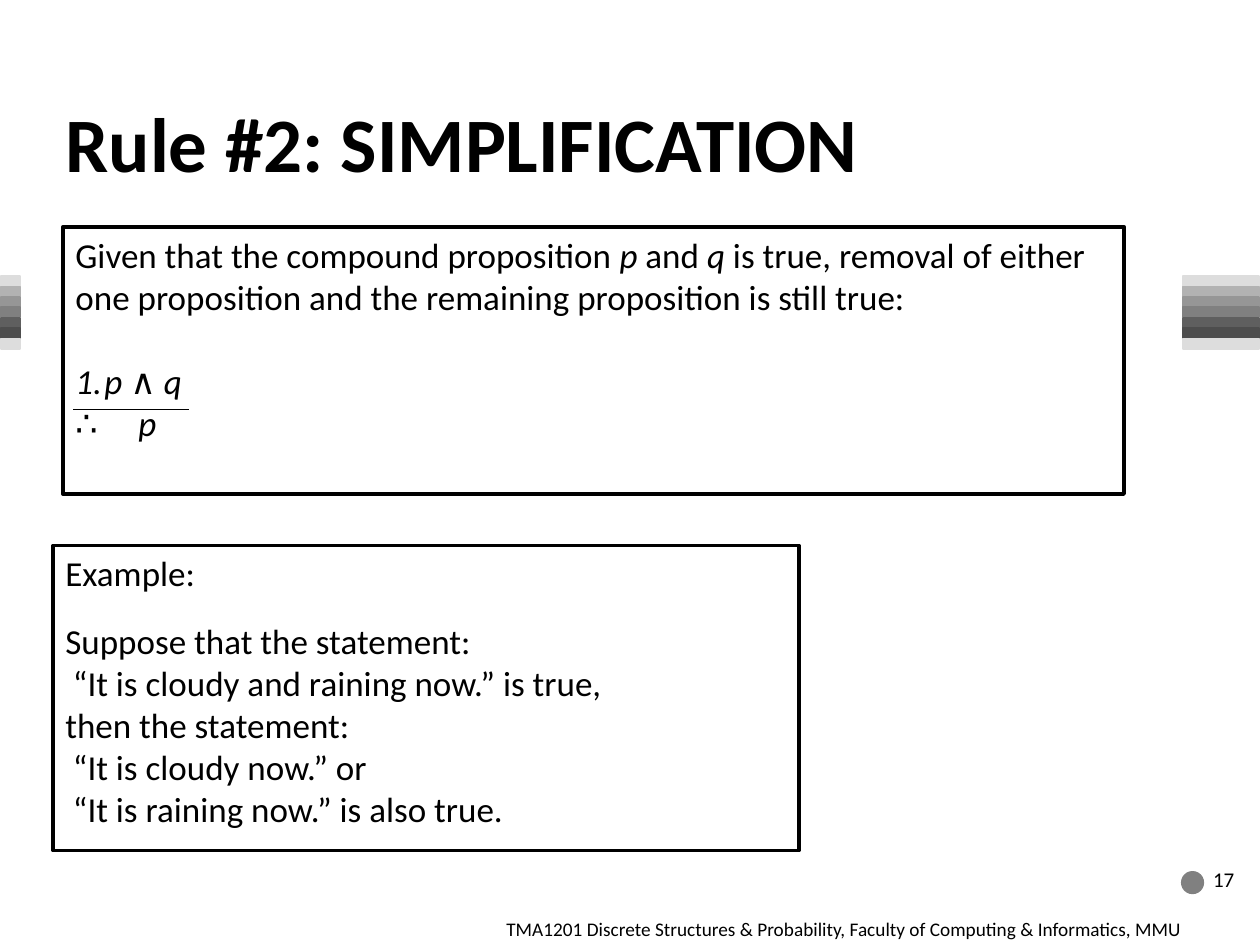
from dataclasses import dataclass

import pptx
import pptx.dml.color
import pptx.enum.shapes
import pptx.enum.text
import pptx.oxml.ns
import pptx.util
from lxml import etree

Inches = pptx.util.Inches
Pt = pptx.util.Pt
SHAPES = pptx.enum.shapes.MSO_SHAPE
ANCHOR = pptx.enum.text.MSO_ANCHOR


@dataclass(frozen=True)
class Theme:
    font: str = "Calibri"
    ink: str = "000000"
    dot: str = "808080"
    bands: tuple[str, ...] = ("DDDDDD", "B2B2B2", "969696", "808080",
                              "5F5F5F", "4D4D4D", "DDDDDD")
    title: int = 44
    body: int = 20
    number: int = 12
    footer: int = 11


@dataclass(frozen=True)
class Box:
    left: float
    top: float
    width: float
    height: float

    def lengths(self) -> tuple[int, ...]:
        return tuple(Inches(v) for v in (self.left, self.top, self.width, self.height))


@dataclass(frozen=True)
class Para:
    """One paragraph; text between asterisks is italic."""
    text: str
    before: float = 0
    margin: float = 0
    indent: float = 0
    numbered: bool = False
    tab: float = 0


THEME = Theme()
BAND_TOP, BAND_STEP = 2.19, 0.083

RULE = [
    Para("Given that the compound proposition *p* and *q* is true, removal of either "
         "one proposition and the remaining proposition is still true:"),
    Para("*p* ∧ *q*", before=24, margin=0.23, indent=-0.23, numbered=True),
    Para("∴\t*p*", tab=0.43),
]
EXAMPLE = [
    Para("Example:"),
    Para("Suppose that the statement:", before=14.4),
    Para("“It is cloudy and raining now.” is true,", margin=0.06),
    Para("then the statement:"),
    Para("“It is cloudy now.” or", margin=0.06),
    Para("“It is raining now.” is also true.", margin=0.06),
]


def rgb(color: str) -> pptx.dml.color.RGBColor:
    return pptx.dml.color.RGBColor.from_string(color)


def format_paragraph(p, para: Para) -> None:
    pPr = p._p.get_or_add_pPr()
    pPr.set("marL", str(Inches(para.margin)))
    pPr.set("indent", str(Inches(para.indent)))
    if para.before:
        p.space_before = Pt(para.before)
    qn = pptx.oxml.ns.qn
    if para.numbered:
        etree.SubElement(pPr, qn("a:buAutoNum"), type="arabicPeriod")
    else:
        etree.SubElement(pPr, qn("a:buNone"))
    if para.tab:
        tabs = etree.SubElement(pPr, qn("a:tabLst"))
        etree.SubElement(tabs, qn("a:tab"), pos=str(Inches(para.tab)), algn="l")


def write(sp, paras: list[Para], size: int, bold: bool = False,
          anchor=ANCHOR.TOP, wrap: bool = True) -> None:
    tf = sp.text_frame
    tf.word_wrap = wrap
    tf.auto_size = pptx.enum.text.MSO_AUTO_SIZE.NONE
    tf.vertical_anchor = anchor
    for i, para in enumerate(paras):
        p = tf.add_paragraph() if i else tf.paragraphs[0]
        p.alignment = pptx.enum.text.PP_ALIGN.LEFT
        format_paragraph(p, para)
        for j, piece in enumerate(para.text.split("*")):
            if not piece:
                continue
            r = p.add_run()
            r.text = piece
            r.font.name = THEME.font
            r.font.size = Pt(size)
            r.font.bold = bold
            r.font.italic = j % 2 == 1
            r.font.color.rgb = rgb(THEME.ink)


def add_shape(s, kind, box: Box, line: str, line_width: float, fill: str | None = None):
    sp = s.shapes.add_shape(kind, *box.lengths())
    sp.shadow.inherit = False
    if fill:
        sp.fill.solid()
        sp.fill.fore_color.rgb = rgb(fill)
    else:
        sp.fill.background()
    sp.line.color.rgb = rgb(line)
    sp.line.width = Pt(line_width)
    return sp


def add_bands(s, left: float, width: float) -> None:
    for i, color in enumerate(THEME.bands):
        box = Box(left, BAND_TOP + i * BAND_STEP, width, 0.08)
        add_shape(s, SHAPES.RECTANGLE, box, color, 1, fill=color)


def add_text(s, box: Box, text: str, size: int, **fmt) -> None:
    write(s.shapes.add_textbox(*box.lengths()), [Para(text)], size, **fmt)


def add_text_panel(s, box: Box, paras: list[Para], line_width: float) -> None:
    sp = add_shape(s, SHAPES.RECTANGLE, box, THEME.ink, line_width)
    write(sp, paras, THEME.body)


def add_rule_line(s, left: float, right: float, y: float) -> None:
    line = s.shapes.add_connector(pptx.enum.shapes.MSO_CONNECTOR.STRAIGHT,
                                  Inches(left), Inches(y), Inches(right), Inches(y))
    line.line.color.rgb = rgb(THEME.ink)
    line.line.width = Pt(1)
    etree.SubElement(line._element.spPr, pptx.oxml.ns.qn("a:effectLst"))


def main() -> None:
    prs = pptx.Presentation()
    prs.slide_width, prs.slide_height = Inches(10), Inches(7.5)
    s = prs.slides.add_slide(prs.slide_layouts[5])

    add_bands(s, 0.01, 0.15)
    add_bands(s, 9.39, 0.6)
    add_shape(s, SHAPES.OVAL, Box(9.38, 6.92, 0.17, 0.17), THEME.dot, 1, fill=THEME.dot)

    title = s.shapes.title
    title.left, title.top, title.width, title.height = Box(0.42, 0.5, 9, 1.25).lengths()
    write(title, [Para("Rule #2: SIMPLIFICATION")], THEME.title, bold=True,
          anchor=ANCHOR.MIDDLE)

    add_text(s, Box(3.92, 7.23, 6.08, 0.27),
             "TMA1201 Discrete Structures & Probability, Faculty of Computing & "
             "Informatics, MMU", THEME.footer)
    add_text(s, Box(9.53, 6.73, 0.47, 0.5), "17", THEME.number, anchor=ANCHOR.MIDDLE)

    add_text_panel(s, Box(0.5, 1.8, 8.42, 2.12), RULE, 2.25)
    add_text_panel(s, Box(0.42, 4.33, 5.92, 2.42), EXAMPLE, 2)
    add_rule_line(s, 0.58, 1.5, 3.25)
    prs.save("out.pptx")


if __name__ == "__main__":
    main()
